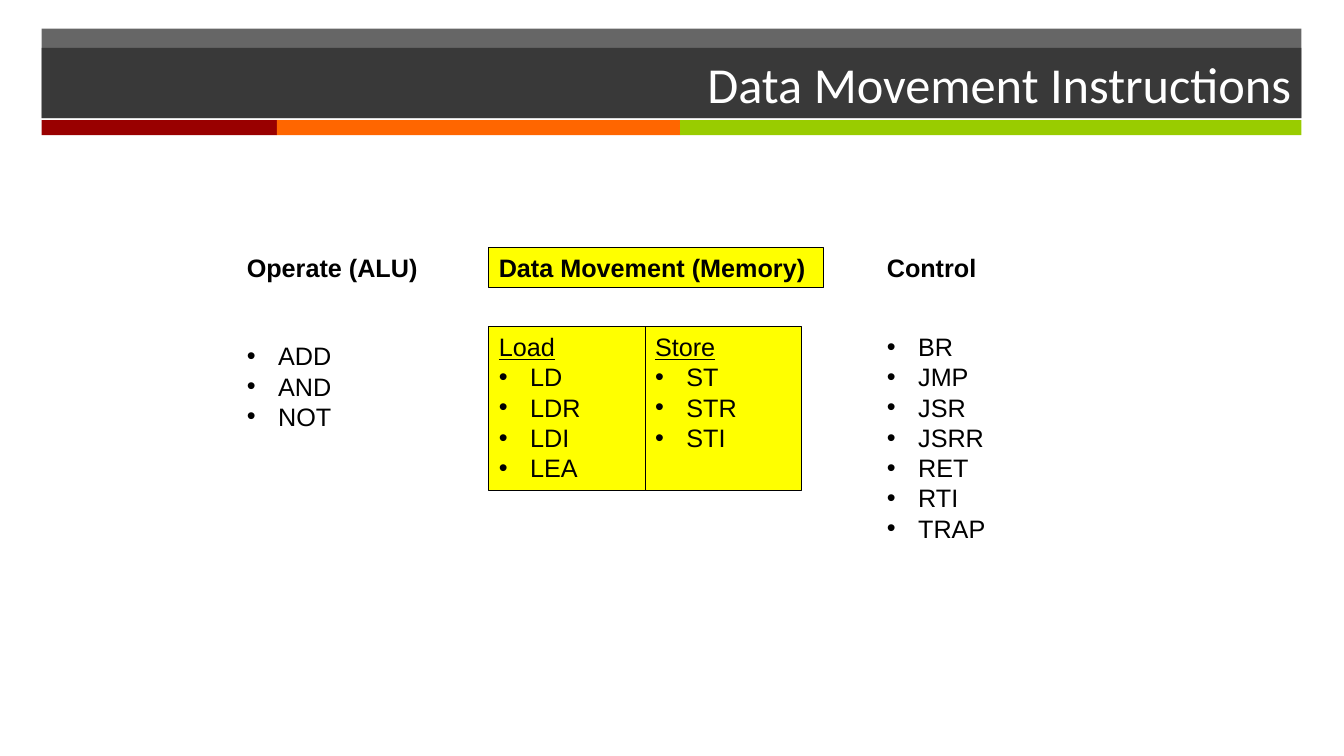
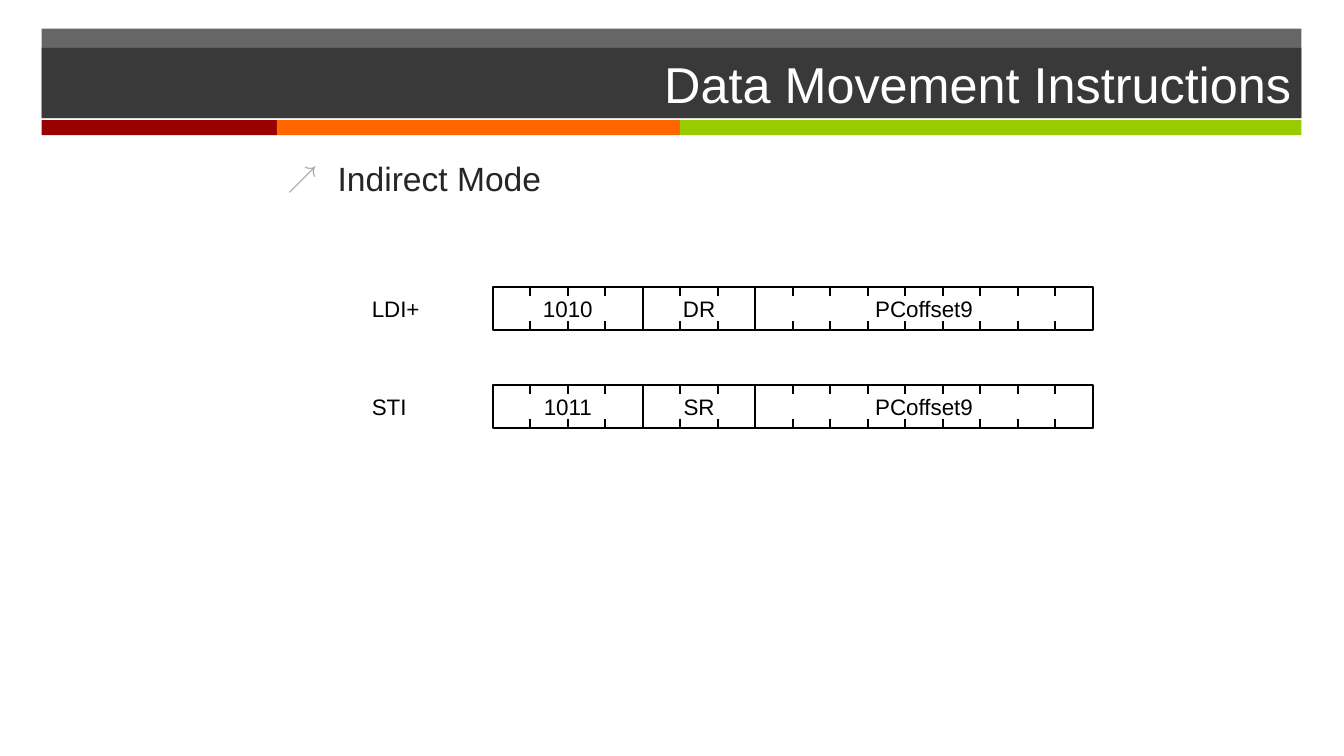
from dataclasses import dataclass

from lxml import etree
from pptx import Presentation
from pptx.dml import color
from pptx.enum import shapes as kinds, text
from pptx.oxml import ns
from pptx.util import Cm, Pt


@dataclass(frozen=True)
class Theme:
    ink: str = "000000"
    dark: str = "262626"
    white: str = "FFFFFF"
    highlight: str = "FFFF00"
    marker: str = "A6A6A6"
    stripes: tuple = (("990000", 5.93), ("FF6600", 10.16), ("99CC00", 15.66))
    band_opacity: int = 70
    font: str = "Arial"
    title_font: str = "Calibri"
    title_size: int = 36
    body_size: int = 24
    list_size: int = 18
    field_size: int = 16
    thin: float = 0.75
    thick: float = 1.5


THEME = Theme()
LEFT, WIDTH = 1.05, 31.75
LIST_INDENT = 0.79
LIST_WIDTH = 3.94
BIT = 0.945
TICK = 0.22
REGISTER_LEFT, REGISTER_HEIGHT = 12.42, 1.07


def rgb(value):
    return color.RGBColor.from_string(value)


def add_element(parent, tag, **attributes):
    return etree.SubElement(parent, ns.qn(tag), attributes)


def set_attributes(target, values):
    for name, value in values.items():
        setattr(target, name, value)


def add_box(shapes, left, top, width, height, fill=None, line=None, opacity=100):
    shape = shapes.add_shape(kinds.MSO_SHAPE.RECTANGLE, Cm(left), Cm(top), Cm(width), Cm(height))
    shape.shadow.inherit = False
    if fill:
        shape.fill.solid()
        shape.fill.fore_color.rgb = rgb(fill)
        if opacity < 100:
            fill_color = shape.fill._xPr.find(ns.qn("a:solidFill"))[0]
            add_element(fill_color, "a:alpha", val=str(opacity * 1000))
    else:
        shape.fill.background()
    if line:
        shape.line.color.rgb = rgb(THEME.ink)
        shape.line.width = Pt(line)
    else:
        shape.line.fill.background()
    return shape


def add_text_box(shapes, left, top, width, height):
    return shapes.add_textbox(Cm(left), Cm(top), Cm(width), Cm(height))


def add_bullet(paragraph, character, indent, marker=None, size=100):
    properties = paragraph._p.get_or_add_pPr()
    properties.set("marL", str(Cm(indent)))
    properties.set("indent", str(-Cm(indent)))
    if marker:
        add_element(add_element(properties, "a:buClr"), "a:srgbClr", val=marker)
    add_element(properties, "a:buSzPct", val=str(size * 1000))
    add_element(properties, "a:buFont", typeface=THEME.font)
    add_element(properties, "a:buChar", char=character)


def write(shape, lines, size, ink=THEME.ink, font=THEME.font, align="LEFT",
          anchor="TOP", wrap=True, bullet=None, **font_format):
    frame = shape.text_frame
    set_attributes(frame, {"word_wrap": wrap,
                           "vertical_anchor": getattr(text.MSO_ANCHOR, anchor)})
    values = {"name": font, "size": Pt(size), **font_format}
    for number, line in enumerate(lines):
        paragraph = frame.add_paragraph() if number else frame.paragraphs[0]
        if bullet:
            add_bullet(paragraph, **bullet)
        paragraph.alignment = getattr(text.PP_ALIGN, align)
        run = paragraph.add_run()
        run.text = line
        set_attributes(run.font, values)
        run.font.color.rgb = rgb(ink)


def add_list(shape, items, heading=None):
    bullet = {"character": "•", "indent": LIST_INDENT}
    write(shape, ([heading] if heading else []) + items, THEME.list_size, bullet=bullet)
    if heading:
        first = shape.text_frame.paragraphs[0]
        properties = first._p.get_or_add_pPr()
        set_attributes(first.runs[0].font, {"underline": True})
        for child in list(properties):
            properties.remove(child)
        for name in ("marL", "indent"):
            properties.set(name, "0")


def add_line(shapes, x, top, bottom):
    line = shapes.add_connector(kinds.MSO_CONNECTOR.STRAIGHT, Cm(x), Cm(top), Cm(x), Cm(bottom))
    line.line.color.rgb = rgb(THEME.ink)
    line.line.width = Pt(THEME.thick)
    add_element(line._element.spPr, "a:effectLst")


def add_field(shapes, left, top, bits, label):
    bottom = top + REGISTER_HEIGHT
    box = add_box(shapes, left, top, bits * BIT, REGISTER_HEIGHT, line=THEME.thick)
    write(box, [label], THEME.field_size, align="CENTER", anchor="MIDDLE", wrap=False)
    for bit in range(1, bits):
        x = left + bit * BIT
        add_line(shapes, x, top, top + TICK)
        add_line(shapes, x, bottom - TICK, bottom)


def add_instruction(slide, top, name, fields):
    shapes = slide.shapes.add_group_shape().shapes
    label = add_text_box(shapes, 9.12, top, 1.75, REGISTER_HEIGHT)
    write(label, [name], THEME.field_size, anchor="MIDDLE", wrap=False)
    left = REGISTER_LEFT
    for bits, value in fields:
        add_field(shapes, left, top, bits, value)
        left += bits * BIT


def add_titled_slide(presentation, title, font):
    slide = presentation.slides.add_slide(presentation.slide_layouts[6])
    add_box(slide.shapes, LEFT, 0.72, WIDTH, 2.26, THEME.dark, opacity=THEME.band_opacity)
    left = LEFT
    for fill, width in THEME.stripes:
        add_box(slide.shapes, left, 3.03, width, 0.38, fill)
        left += width
    band = add_box(slide.shapes, LEFT, 1.21, WIDTH, 1.77, THEME.dark,
                   opacity=THEME.band_opacity)
    write(band, [title], THEME.title_size, THEME.white, font, "RIGHT", "MIDDLE")
    return slide


def build_overview(presentation):
    shapes = add_titled_slide(presentation, "Data Movement Instructions", THEME.title_font).shapes
    operate, movement, control = 5.97, 12.32, 22.1
    headings = (
        (add_text_box(shapes, operate, 6.23, 4.83, 1.02), "Operate (ALU)"),
        (add_box(shapes, movement, 6.23, 8.43, 1.02, THEME.highlight, THEME.thin),
         "Data Movement (Memory)"),
        (add_text_box(shapes, control, 6.23, 3.61, 1.02), "Control"),
    )
    for shape, heading in headings:
        write(shape, [heading], THEME.list_size, bold=True)

    add_list(add_text_box(shapes, operate, 8.46, LIST_WIDTH, 2.57), ["ADD", "AND", "NOT"])
    memory = (("Load", ["LD", "LDR", "LDI", "LEA"]), ("Store", ["ST", "STR", "STI"]))
    for column, (heading, items) in enumerate(memory):
        box = add_box(shapes, movement + column * LIST_WIDTH, 8.23, LIST_WIDTH, 4.12,
                      THEME.highlight, THEME.thin)
        add_list(box, items, heading)
    add_list(add_text_box(shapes, control, 8.23, LIST_WIDTH, 5.64),
             ["BR", "JMP", "JSR", "JSRR", "RET", "RTI", "TRAP"])


def build_indirect_mode(presentation):
    slide = add_titled_slide(presentation, "Data Movement Instructions", THEME.font)
    body = add_text_box(slide.shapes, 6.99, 3.86, 23.5, 13.61)
    write(body, ["Indirect Mode"], THEME.body_size, THEME.dark,
          bullet={"character": "↗", "indent": 1.27, "marker": THEME.marker, "size": 90})
    instructions = (
        (7.24, "LDI+", "1010", "DR"),
        (9.71, "STI", "1011", "SR"),
    )
    for top, name, opcode, register in instructions:
        add_instruction(slide, top, name, ((4, opcode), (3, register), (9, "PCoffset9")))


def main():
    presentation = Presentation()
    set_attributes(presentation, {"slide_width": Cm(33.87), "slide_height": Cm(19.05)})
    build_overview(presentation)
    build_indirect_mode(presentation)
    presentation.save("out.pptx")


if __name__ == "__main__":
    main()
